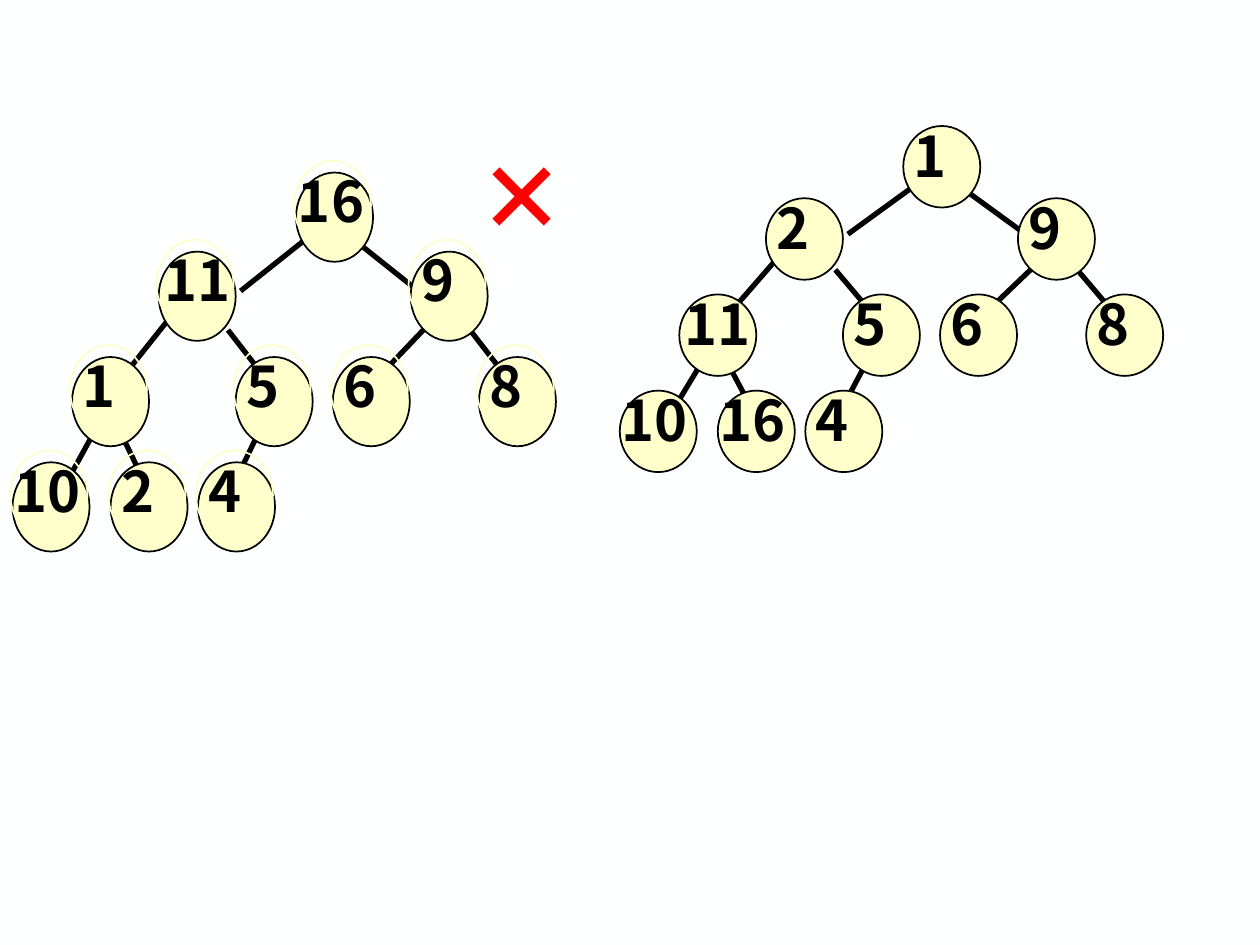
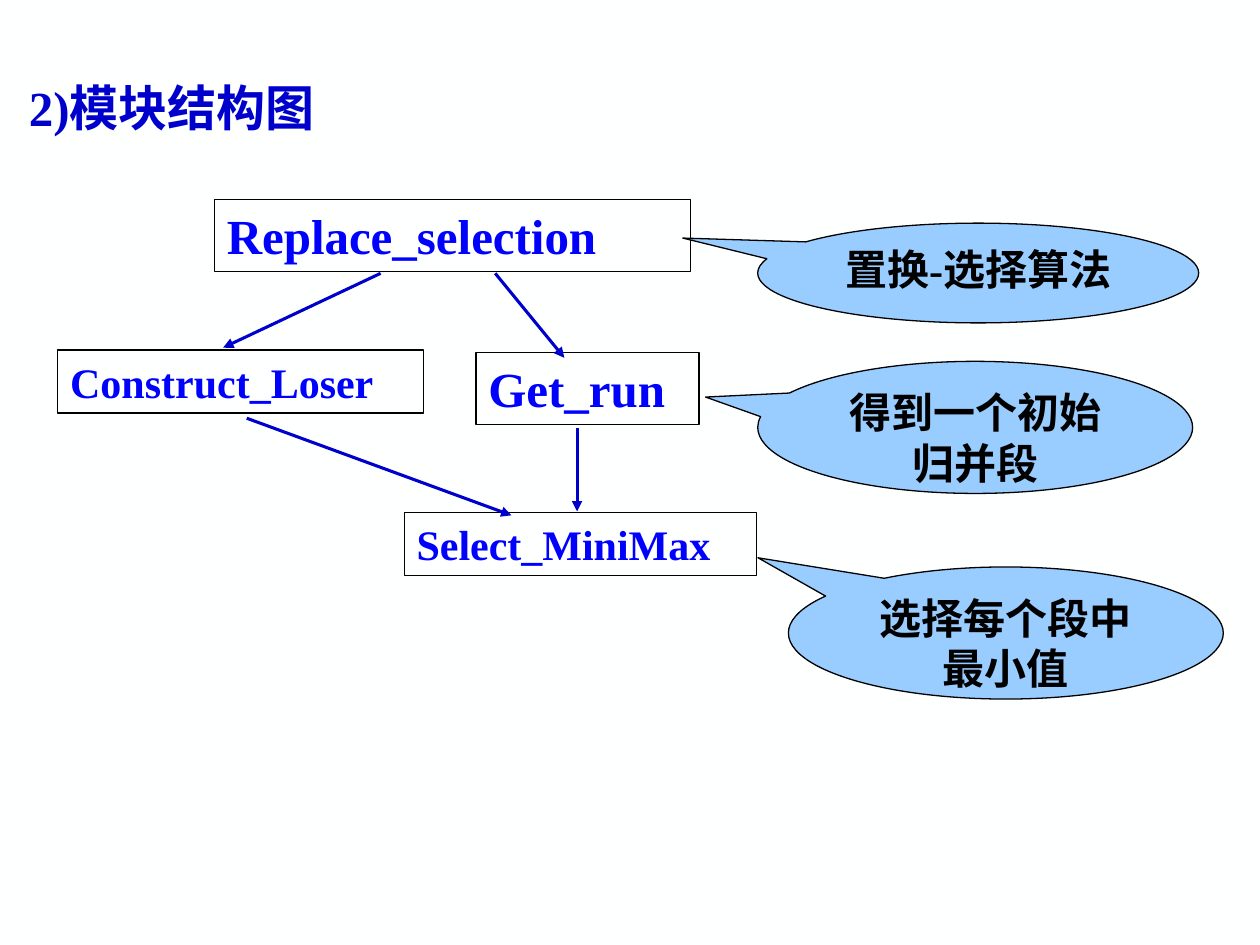
from lxml.etree import SubElement
from pptx import Presentation
from pptx.dml.color import RGBColor
from pptx.enum.shapes import MSO_CONNECTOR as Connector, MSO_SHAPE as Shape
from pptx.enum.text import MSO_ANCHOR as Anchor, PP_ALIGN as Align
from pptx.oxml.ns import qn
from pptx.util import Pt

BACKGROUND, BLACK, RED = "FEFFFF", "000000", "FF0000"
CREAM, SKY, BLUE, DARK_BLUE = "FFFFCC", "99CCFF", "0000FF", "0000CC"
SERIF, SANS = "Times New Roman", "Noto Sans CJK SC"

NODE_WIDTH, NODE_HEIGHT = 44, 51
NODE_LEFTS = [162, 83.5, 227.5, 34, 127.5, 183, 266.5, 0, 56, 106]
LEVEL_TOPS = [0, 45.2, 105.4, 165.6]
LABEL_SHIFT = (-6, -6.8)
HALO_SHIFT = (-1.2, -6.8)
BRANCHES = [
    ((130.3, 67.7), (165.6, 39.6)),
    ((196.6, 39.6), (231.8, 67.7)),
    ((261.4, 90), (283.7, 118.8)),
    ((45.4, 150.5), (28.8, 180.7)),
    ((73.4, 172.8), (62.6, 150.5)),
    ((234.7, 90), (205.9, 120.2)),
    ((123.1, 90), (145.4, 118.8)),
    ((90, 82.8), (67.7, 110.9)),
    ((139.7, 150.5), (128.9, 172.8)),
]
TREES = [
    dict(keys=[16, 11, 9, 1, 5, 6, 8, 10, 2, 4], left=7.2, top=98.6, scale=1, halo=True),
    dict(keys=[1, 2, 9, 11, 5, 6, 8, 10, 16, 4], left=354.2, top=72, scale=0.913, halo=False),
]
CROSS = ("×", (268.5, 55.5, 137.5, 103.5))

HEADING = ("2)模块结构图", (9.5, 41, 263.5, 41))
MODULES = [
    ("Replace_selection", 28, (122.5, 114, 272, 41)),
    ("Get_run", 28, (272, 201.5, 127.5, 41)),
    ("Construct_Loser", 24, (33, 200, 209, 36)),
    ("Select_MiniMax", 24, (231, 293, 201.5, 36)),
]
CALLS = [
    ((283, 156.2), (322.5, 204.5)),
    ((217.5, 156.2), (127.5, 198.7)),
    ((329.8, 244.8), (329.8, 292.3)),
    ((141, 239), (292.3, 294.5)),
]
CALLOUTS = [
    ("置换-选择算法", (433, 127.5, 252, 57), (-0.67, -0.35)),
    ("得到一个初始归并段", (433, 206.5, 248.5, 75.5), (-0.62, -0.23)),
    ("选择每个段中最小值", (450.5, 324, 248.5, 75.5), (-0.57, -0.57)),
]


def color(value):
    return RGBColor.from_string(value)


def points(values):
    return [Pt(value) for value in values]


def write(shape, text, size, ink, font=SERIF, before=0, indent=0, align=Align.LEFT):
    frame = shape.text_frame
    frame.word_wrap = True
    frame.vertical_anchor = Anchor.TOP
    paragraph = frame.paragraphs[0]
    paragraph.alignment = align
    paragraph.space_before = Pt(before)
    if indent:
        paragraph._p.get_or_add_pPr().set("marL", str(Pt(indent)))
    run = paragraph.add_run()
    run.text = text
    run.font.name = font
    run.font.size = Pt(size)
    run.font.bold = True
    run.font.color.rgb = color(ink)
    SubElement(run._r.get_or_add_rPr(), qn("a:ea")).set("typeface", SANS)


def add_text(shapes, box, text, size, ink, **style):
    write(shapes.add_textbox(*points(box)), text, size, ink, **style)


def add_outline(shapes, kind, box, fill=None, ink=BLACK, weight=1):
    shape = shapes.add_shape(kind, *points(box))
    shape.shadow.inherit = False
    if fill:
        shape.fill.solid()
        shape.fill.fore_color.rgb = color(fill)
    else:
        shape.fill.background()
    shape.line.color.rgb = color(ink)
    shape.line.width = Pt(weight)
    return shape


def add_line(shapes, start, end, ink, weight, arrow=False):
    line = shapes.add_connector(Connector.STRAIGHT, *points((*start, *end)))
    line.line.color.rgb = color(ink)
    line.line.width = Pt(weight)
    if arrow:
        SubElement(line.line._get_or_add_ln(), qn("a:tailEnd")).set("type", "triangle")
    SubElement(line._element.spPr, qn("a:effectLst"))


def add_tree(slide, keys, left, top, scale, halo):
    shapes = slide.shapes.add_group_shape().shapes

    def place(x, y):
        return left + x, top + y * scale

    def node_box(index, shift=(0, 0)):
        level = (index + 1).bit_length() - 1
        corner = place(NODE_LEFTS[index] + shift[0], LEVEL_TOPS[level] + shift[1])
        return (*corner, NODE_WIDTH, NODE_HEIGHT * scale)

    for start, end in BRANCHES:
        add_line(shapes, place(*start), place(*end), BLACK, 3)
    for index in range(len(keys)):
        add_outline(shapes, Shape.OVAL, node_box(index), CREAM)
    for index, key in enumerate(keys):
        if halo:
            add_outline(shapes, Shape.OVAL, node_box(index, HALO_SHIFT), ink=CREAM)
        x, y = node_box(index, LABEL_SHIFT)[:2]
        indent = 5 if key < 10 else 2 if key == 11 else 0
        add_text(shapes, (x, y, 62, 46), str(key), 32, BLACK, font=SANS, indent=indent)


def add_slide(presentation):
    slide = presentation.slides.add_slide(presentation.slide_layouts[6])
    slide.background.fill.solid()
    slide.background.fill.fore_color.rgb = color(BACKGROUND)
    return slide


def build_heap_slide(presentation):
    slide = add_slide(presentation)
    for tree in TREES:
        add_tree(slide, **tree)
    text, box = CROSS
    add_text(slide.shapes, box, text, 80, RED, before=20)


def build_module_slide(presentation):
    shapes = add_slide(presentation).shapes
    text, box = HEADING
    add_text(shapes, box, text, 28, DARK_BLUE, before=17.5)
    for name, size, box in MODULES:
        module = add_outline(shapes, Shape.RECTANGLE, box, weight=0.75)
        write(module, name, size, BLUE, before=size * 0.625)
    for text, box, pointer in CALLOUTS:
        callout = add_outline(shapes, Shape.OVAL_CALLOUT, box, SKY, weight=0.75)
        for index, value in enumerate(pointer):
            callout.adjustments[index] = value
        write(callout, text, 24, BLACK, before=6, align=Align.CENTER)
    for start, end in CALLS:
        add_line(shapes, start, end, DARK_BLUE, 1.75, arrow=True)


def main():
    presentation = Presentation()
    presentation.slide_width, presentation.slide_height = Pt(720), Pt(540)
    build_heap_slide(presentation)
    build_module_slide(presentation)
    presentation.save("out.pptx")


if __name__ == "__main__":
    main()
